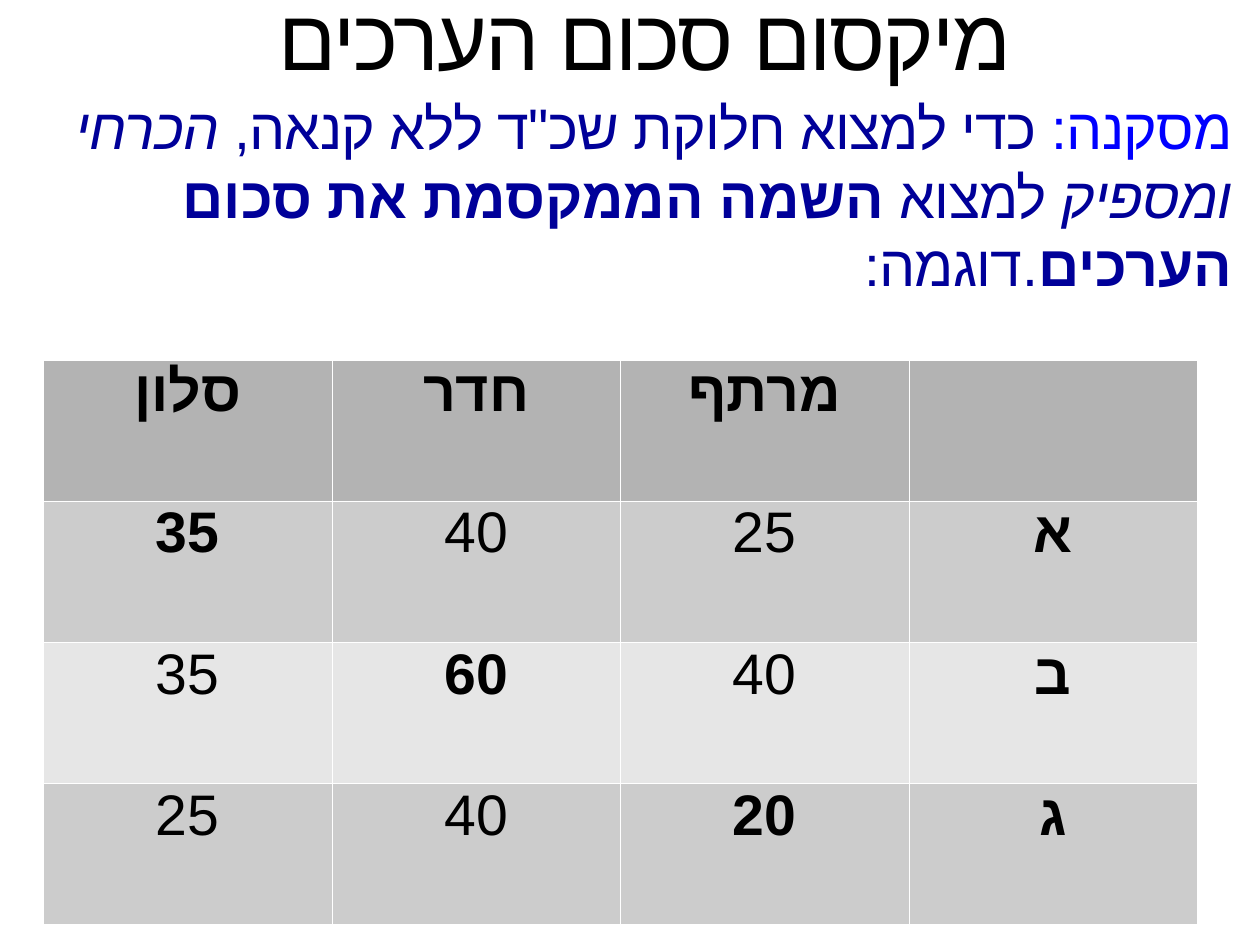
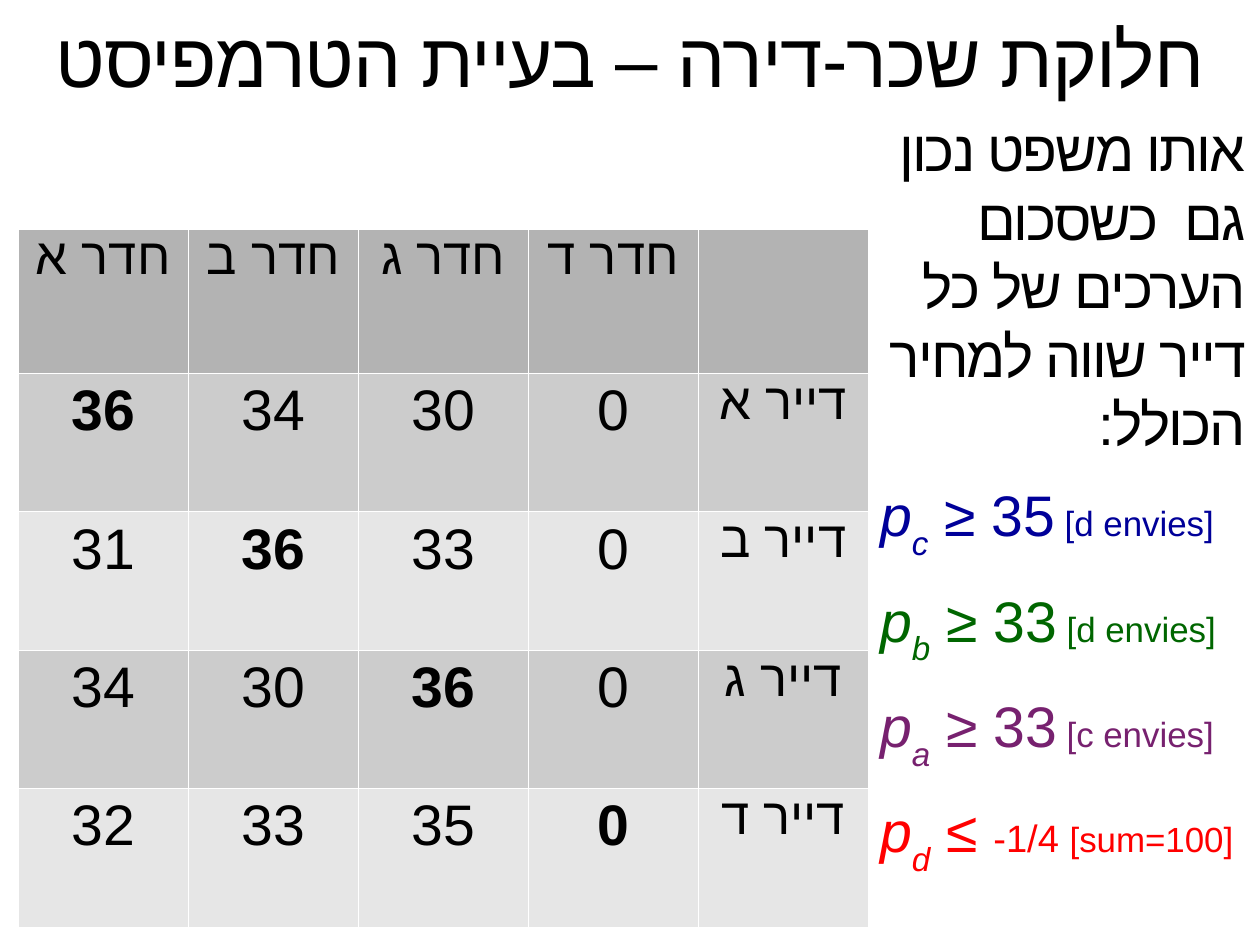
from lxml.etree import SubElement
from pptx import Presentation
from pptx.dml.color import RGBColor
from pptx.enum.text import MSO_ANCHOR, MSO_AUTO_SIZE, PP_ALIGN
from pptx.oxml import parse_xml
from pptx.oxml.ns import nsdecls, qn
from pptx.util import Pt

FONT = "Arial"
BLACK = RGBColor(0, 0, 0)
BLUE = RGBColor(0, 0, 0xFF)
NAVY = RGBColor(0, 0, 0x99)
GREEN = RGBColor(0, 0x66, 0)
PURPLE = RGBColor(0x77, 0x21, 0x6F)
RED = RGBColor(0xFF, 0, 0)
HEAD_FILL = RGBColor(0xB3, 0xB3, 0xB3)
BAND_FILLS = RGBColor(0xCC, 0xCC, 0xCC), RGBColor(0xE6, 0xE6, 0xE6)
SLIDE_W, SLIDE_H, TITLE_H = 793.75, 595.25, 72
BODY_SIZE, NOTE_SIZE = 36, 22

SUM_TITLE = "מיקסום סכום הערכים"
CONCLUSION = [
    ("מסקנה: ", dict(color=BLUE)),
    ('כדי למצוא חלוקת שכ"ד ללא קנאה, ', dict(color=NAVY)),
    ("הכרחי ומספיק", dict(color=NAVY, italic=True)),
    (" למצוא ", dict(color=NAVY)),
    ("השמה הממקסמת את סכום הערכים", dict(color=NAVY, bold=True)),
    (".\tדוגמה:", dict(color=NAVY)),
]
EXAMPLE_TAB = 200
ROOM_VALUES = [
    ["סלון", "חדר", "מרתף", ""],
    ["35", "40", "25", "א"],
    ["35", "60", "40", "ב"],
    ["25", "40", "20", "ג"],
]
ROOM_BOLD = {(0, 0), (0, 1), (0, 2), (1, 0), (2, 1), (3, 2),
             (1, 3), (2, 3), (3, 3)}

RIDER_TITLE = "חלוקת שכר-דירה – בעיית הטרמפיסט"
THEOREM = "אותו משפט נכון גם  כשסכום הערכים של כל דייר שווה למחיר הכולל:"
PRICES = [
    ("c", [(" ≥ 35", BODY_SIZE), (" [d envies]", NOTE_SIZE)], NAVY),
    ("b", [(" ≥ 33", BODY_SIZE), (" [d envies]", NOTE_SIZE)], GREEN),
    ("a", [(" ≥ 33", BODY_SIZE), (" [c envies]", NOTE_SIZE)], PURPLE),
    ("d", [(" ≤ ", BODY_SIZE), ("-1/4 ", 24), ("[sum=100]", NOTE_SIZE)], RED),
]
TENANT_VALUES = [
    ["חדר א", "חדר ב", "חדר ג", "חדר ד", ""],
    ["36", "34", "30", "0", "דייר א"],
    ["31", "36", "33", "0", "דייר ב"],
    ["34", "30", "36", "0", "דייר ג"],
    ["32", "33", "35", "0", "דייר ד"],
]
TENANT_BOLD = {(i + 1, i) for i in range(4)}


def place(sp, left, top, width, height):
    sp.left, sp.top, sp.width, sp.height = map(Pt, (left, top, width, height))


def frame(sp, margins, anchor):
    tf = sp.text_frame
    tf.word_wrap = True
    tf.auto_size = MSO_AUTO_SIZE.NONE
    tf.vertical_anchor = anchor
    tf.margin_left = tf.margin_right = Pt(margins[0])
    tf.margin_top = tf.margin_bottom = Pt(margins[1])
    return tf


def add_run(p, text, size=BODY_SIZE, color=BLACK, bold=False, italic=False,
            base=0, spacing=0):
    r = p.add_run()
    r.text = text
    font = r.font
    font.name, font.size, font.bold, font.italic = FONT, Pt(size), bold, italic
    font.color.rgb = color
    rPr = r._r.get_or_add_rPr()
    SubElement(rPr, qn("a:cs")).set("typeface", FONT)
    if base:
        rPr.set("baseline", str(base * 1000))
    if spacing:
        rPr.set("spc", str(round(spacing * 100)))


def align(p, alignment, rtl):
    p.alignment = alignment
    p._p.get_or_add_pPr().set("rtl", str(int(rtl)))


def is_hebrew(text):
    return any("א" <= ch <= "ת" for ch in text)


def add_slide(prs, layout, title, size, left, top, spacing):
    s = prs.slides.add_slide(prs.slide_layouts[layout])
    sp = s.shapes.title
    place(sp, left, top, SLIDE_W, TITLE_H)
    p = frame(sp, (0, 0), MSO_ANCHOR.MIDDLE).paragraphs[0]
    align(p, PP_ALIGN.CENTER, True)
    add_run(p, title, size, spacing=spacing)
    return s


def add_borders(cell):
    tcPr = cell._tc.get_or_add_tcPr()
    for i, side in enumerate("LRTB"):
        tcPr.insert(i, parse_xml(
            f'<a:ln{side} {nsdecls("a")} w="{Pt(0.06)}"><a:solidFill>'
            f'<a:srgbClr val="FFFFFF"/></a:solidFill></a:ln{side}>'))


def add_values(s, values, bold, left, top, col_w, row_heights, head_size, all_rtl):
    rows, cols = len(values), len(values[0])
    table = s.shapes.add_table(rows, cols, Pt(left), Pt(top), Pt(col_w * cols),
                               Pt(sum(row_heights))).table
    table.first_row = table.horz_banding = False
    for col in table.columns:
        col.width = Pt(col_w)
    for i, texts in enumerate(values):
        table.rows[i].height = Pt(row_heights[i])
        for j, text in enumerate(texts):
            cell = table.cell(i, j)
            cell.fill.solid()
            cell.fill.fore_color.rgb = BAND_FILLS[(i - 1) % 2] if i else HEAD_FILL
            add_borders(cell)
            if text:
                rtl = all_rtl or is_hebrew(text)
                cell.margin_top = Pt(0 if rtl else 3.6)
                size = head_size if is_hebrew(text) else BODY_SIZE
                p = cell.text_frame.paragraphs[0]
                align(p, PP_ALIGN.CENTER, rtl)
                add_run(p, text, size, bold=(i, j) in bold)


def add_conclusion(s):
    sp = s.shapes.add_textbox(Pt(21.6), Pt(54.7), Pt(761.8), Pt(168.5))
    p = frame(sp, (7.2, 3.6), MSO_ANCHOR.TOP).paragraphs[0]
    align(p, PP_ALIGN.RIGHT, True)
    tabs = SubElement(p._p.get_or_add_pPr(), qn("a:tabLst"))
    tab = SubElement(tabs, qn("a:tab"))
    tab.set("pos", str(Pt(EXAMPLE_TAB)))
    tab.set("algn", "l")
    for text, style in CONCLUSION:
        spacing = 0 if style.get("bold") else -0.5
        add_run(p, text, spacing=spacing, **style)


def plain_paragraph(p, alignment, rtl):
    align(p, alignment, rtl)
    p.space_before = Pt(14.2)
    pPr = p._p.get_or_add_pPr()
    pPr.set("marL", "0")
    pPr.set("indent", "0")
    SubElement(pPr, qn("a:buNone"))


def add_prices(s):
    sp = s.placeholders[1]
    place(sp, 554.4, 72, 230.4, 496.8)
    tf = frame(sp, (0, 0), MSO_ANCHOR.TOP)
    p = tf.paragraphs[0]
    plain_paragraph(p, PP_ALIGN.RIGHT, True)
    add_run(p, THEOREM, spacing=-1.2)
    for room, parts, color in PRICES:
        p = tf.add_paragraph()
        plain_paragraph(p, PP_ALIGN.LEFT, False)
        add_run(p, "p", color=color, italic=True)
        add_run(p, room, color=color, italic=True, base=-33)
        for text, size in parts:
            add_run(p, text, size, color)


def main():
    prs = Presentation()
    prs.slide_width, prs.slide_height = Pt(SLIDE_W), Pt(SLIDE_H)

    s = add_slide(prs, 5, SUM_TITLE, 54, 9.4, -13, -1.3)
    add_values(s, ROOM_VALUES, ROOM_BOLD, 27.4, 226.8, 181.7, [88.9] * 4, 36, True)
    add_conclusion(s)

    s = add_slide(prs, 1, RIDER_TITLE, 48, 0, 0, -0.6)
    add_prices(s)
    add_values(s, TENANT_VALUES, TENANT_BOLD, 11.5, 144, 107.1,
               [91] + [87.2] * 4, 32, False)

    prs.save("out.pptx")


if __name__ == "__main__":
    main()
